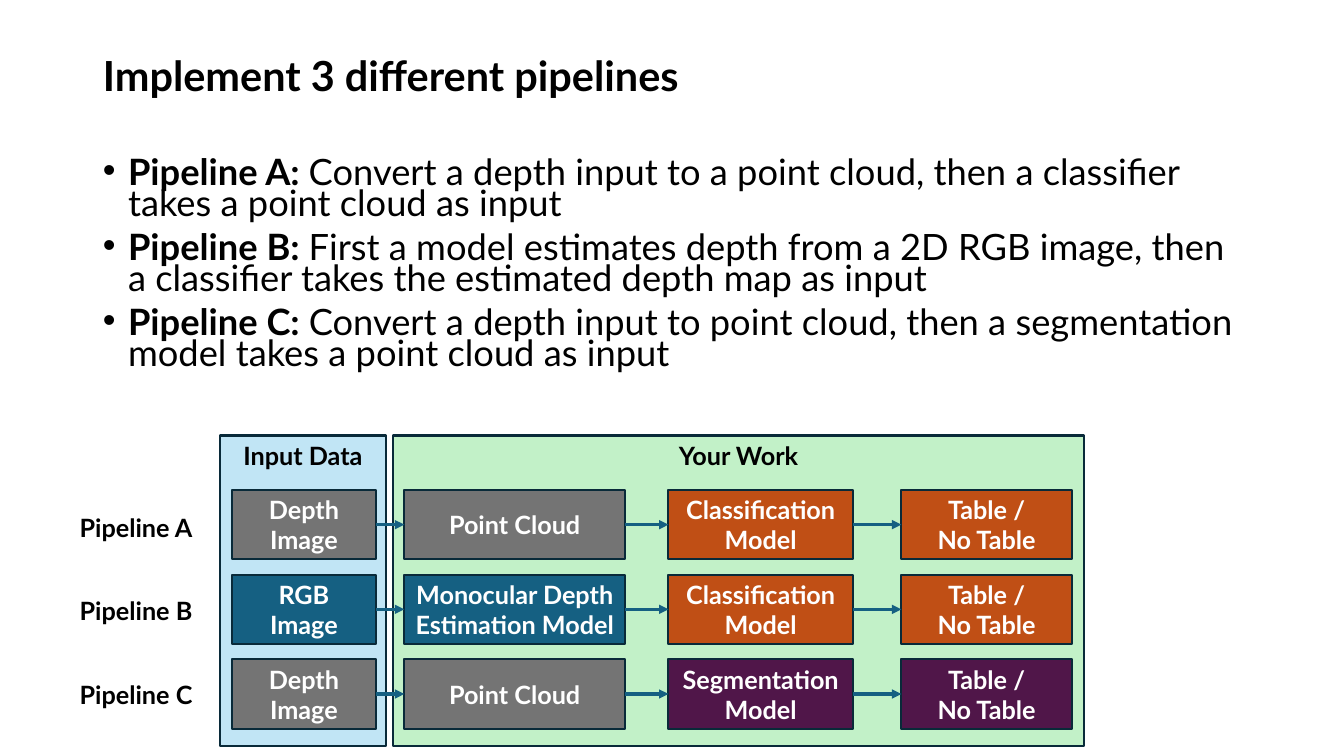
import pptx
import pptx.dml.color
import pptx.enum.shapes
import pptx.enum.text
import pptx.oxml
import pptx.oxml.ns
import pptx.util

Inches = pptx.util.Inches
Pt = pptx.util.Pt
Align = pptx.enum.text.PP_ALIGN
Anchor = pptx.enum.text.MSO_ANCHOR

BLACK, WHITE, EDGE = "000000", "FFFFFF", "092A39"
GRAY, TEAL, RUST, PLUM = "747474", "156082", "C04F15", "501649"
GREEN, BLUE = "C2F1C8", "C1E5F5"

TITLE = "Implement 3 different pipelines"
POINTS = [
    ("Pipeline A: ", "Convert a depth input to a point cloud, "
                     "then a classifier takes a point cloud as input"),
    ("Pipeline B: ", "First a model estimates depth from a 2D RGB image, "
                     "then a classifier takes the estimated depth map as input"),
    ("Pipeline C: ", "Convert a depth input to point cloud, "
                     "then a segmentation model takes a point cloud as input"),
]
PANELS = [("Your Work", 3.9, 6.85, GREEN), ("Input Data", 2.18, 1.65, BLUE)]
COLUMNS = [(2.3, 1.43), (4.01, 2.19), (6.63, 1.83), (8.94, 1.69)]
RESULT = "Table /\nNo Table"
ROWS = [
    ("Pipeline A", [("Depth\nImage", GRAY), ("Point Cloud", GRAY),
                    ("Classification Model", RUST), (RESULT, RUST)]),
    ("Pipeline B", [("RGB\nImage", TEAL), ("Monocular Depth Estimation Model", TEAL),
                    ("Classification Model", RUST), (RESULT, RUST)]),
    ("Pipeline C", [("Depth\nImage", GRAY), ("Point Cloud", GRAY),
                    ("Segmentation Model", PLUM), (RESULT, PLUM)]),
]


def paint(target, color):
    """Give a font, fill or line a solid colour."""
    fill = target if hasattr(target, "solid") else target.fill
    fill.solid()
    fill.fore_color.rgb = pptx.dml.color.RGBColor.from_string(color)


def style(para, size, color, bold, align):
    """Set the font and alignment of a paragraph."""
    para.alignment = align
    para.font.name = "Lato"
    para.font.size = Pt(size)
    para.font.bold = bold
    paint(para.font, color)


def place(shape, left, top, width, height):
    """Move and size a placeholder, with its text at the top."""
    shape.left, shape.top = Inches(left), Inches(top)
    shape.width, shape.height = Inches(width), Inches(height)
    frame = shape.text_frame
    frame.auto_size = pptx.enum.text.MSO_AUTO_SIZE.NONE
    frame.vertical_anchor = Anchor.TOP
    return frame


def space(para):
    """Set the tight line spacing of the running text."""
    para.line_spacing = 0.7
    para.space_before = Pt(10)
    para.space_after = Pt(0)


def add_title(slide):
    """Fill the title placeholder."""
    frame = place(slide.shapes.title, 0.92, 0.58, 11.5, 0.6)
    frame.text = TITLE
    para = frame.paragraphs[0]
    style(para, 29.6, BLACK, True, Align.LEFT)
    space(para)
    para.space_before = Pt(0)


def add_list(slide):
    """Fill the body placeholder with the bulleted points."""
    frame = place(slide.placeholders[1], 0.92, 1.55, 11.5, 2.48)
    for index, (lead, text) in enumerate(POINTS):
        para = frame.add_paragraph() if index else frame.paragraphs[0]
        for words, bold in ((lead, True), (text, False)):
            run = para.add_run()
            run.text = words
            run.font.bold = bold
        style(para, 25.9, BLACK, None, Align.LEFT)
        space(para)
        if not index:
            para.space_before = Pt(0)
        props = para._p.get_or_add_pPr()
        props.set("marL", str(Inches(0.25)))
        props.set("indent", str(-Inches(0.25)))


def write(shape, text, color, anchor):
    """Put centred bold text in a shape."""
    frame = shape.text_frame
    frame.word_wrap = True
    frame.vertical_anchor = anchor
    frame.text = text
    for para in frame.paragraphs:
        style(para, 18, color, True, Align.CENTER)


def add_box(slide, text, box, fill, color=WHITE, anchor=Anchor.MIDDLE):
    """Add an outlined rectangle with text."""
    kind = pptx.enum.shapes.MSO_SHAPE.RECTANGLE
    shape = slide.shapes.add_shape(kind, *map(Inches, box))
    shape.shadow.inherit = False
    paint(shape.fill, fill)
    paint(shape.line, EDGE)
    shape.line.width = Pt(1.5)
    write(shape, text, color, anchor)
    return shape


def add_label(slide, text, top):
    """Add the name of a row."""
    box = slide.shapes.add_textbox(Inches(0.3), Inches(top), Inches(2.1), Inches(0.35))
    write(box, text, BLACK, Anchor.MIDDLE)


def add_arrow(slide, start, end):
    """Join two boxes, right side to left side, with an arrow."""
    kind = pptx.enum.shapes.MSO_CONNECTOR.STRAIGHT
    arrow = slide.shapes.add_connector(kind, 0, 0, 0, 0)
    arrow.begin_connect(start, 3)
    arrow.end_connect(end, 1)
    paint(arrow.line, TEAL)
    arrow.line.width = Pt(2.25)
    qn = pptx.oxml.ns.qn
    tail = arrow.line._get_or_add_ln().makeelement(qn("a:tailEnd"), {"type": "triangle"})
    arrow.line._get_or_add_ln().append(tail)
    props = arrow._element.spPr
    props.append(props.makeelement(qn("a:effectLst"), {}))


def add_row(slide, index, name, steps):
    """Add one pipeline: its name, boxes and arrows."""
    top = 4.86 + 0.84 * index
    boxes = [add_box(slide, text, (left, top, width, 0.69), fill)
             for (left, width), (text, fill) in zip(COLUMNS, steps)]
    for start, end in zip(boxes, boxes[1:]):
        add_arrow(slide, start, end)
    add_label(slide, name, 5.06 + 0.825 * index)


def main():
    """Build and save the slide."""
    deck = pptx.Presentation()
    deck.slide_width, deck.slide_height = Inches(13.33), Inches(7.5)
    slide = deck.slides.add_slide(deck.slide_layouts[1])
    add_title(slide)
    add_list(slide)
    for text, left, width, fill in PANELS:
        add_box(slide, text, (left, 4.32, width, 3.08), fill, BLACK, Anchor.TOP)
    for index, (name, steps) in enumerate(ROWS):
        add_row(slide, index, name, steps)
    deck.save("out.pptx")


if __name__ == "__main__":
    main()
